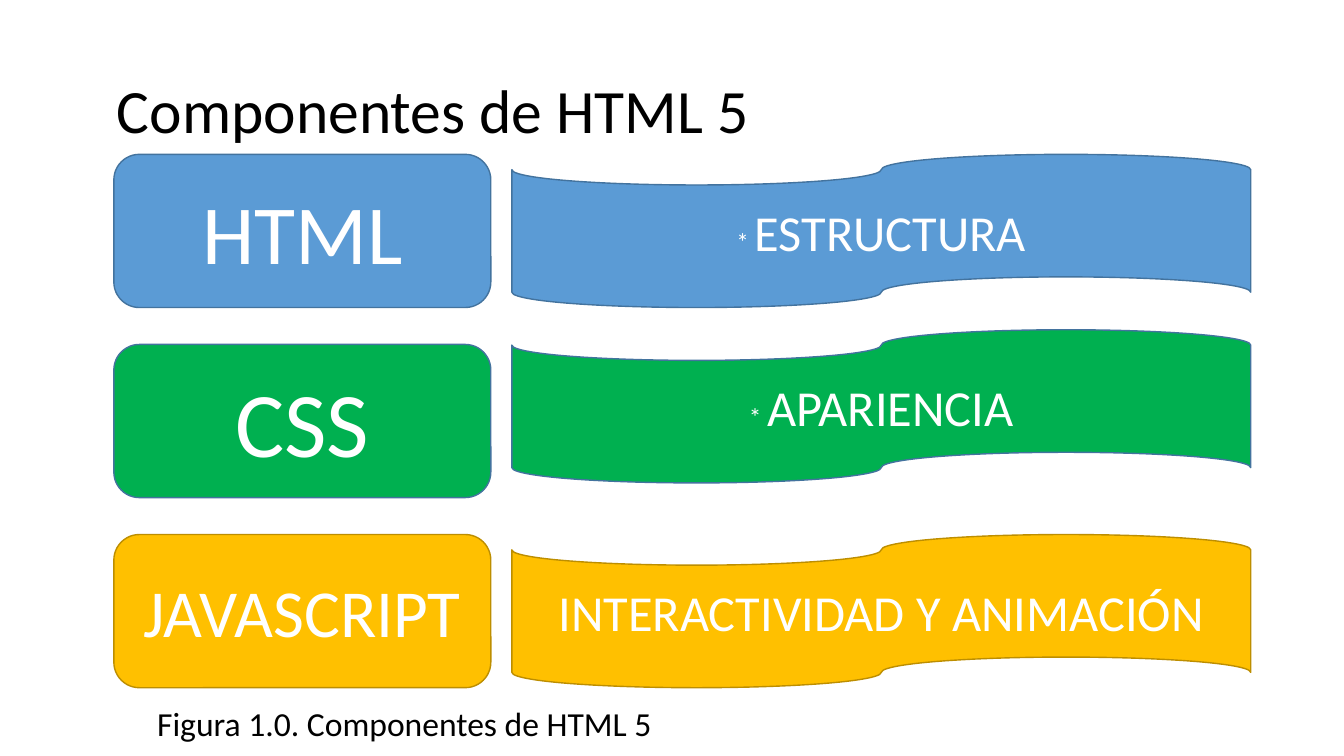
import pptx
import pptx.util
import pptx.dml.color
import pptx.enum.shapes
import pptx.enum.text
from dataclasses import dataclass
from pptx.util import Cm

MSO_SHAPE = pptx.enum.shapes.MSO_SHAPE
PP_ALIGN = pptx.enum.text.PP_ALIGN
MSO_ANCHOR = pptx.enum.text.MSO_ANCHOR
MSO_AUTO_SIZE = pptx.enum.text.MSO_AUTO_SIZE


@dataclass(frozen=True)
class Theme:
    font: str = "Calibri"
    text: str = "000000"
    light: str = "FFFFFF"
    blue: str = "5B9BD5"
    green: str = "00B050"
    amber: str = "FFC000"
    blue_line: str = "43739E"
    amber_line: str = "BD8E00"
    title: int = 44
    role: int = 36
    caption: int = 24
    marker: int = 18


def rgb(value):
    return pptx.dml.color.RGBColor.from_string(value)


class Deck:
    def __init__(self, theme):
        self.theme = theme
        self.prs = pptx.Presentation()
        self.prs.slide_width, self.prs.slide_height = Cm(33.87), Cm(19.05)
        self.s = self.prs.slides.add_slide(self.prs.slide_layouts[5])

    def style(self, font, size, color):
        font.name = self.theme.font
        font.size = pptx.util.Pt(size)
        font.color.rgb = rgb(color)

    def title(self, text, left, top, width, height):
        sp = self.s.shapes.title
        sp.left, sp.top, sp.width, sp.height = map(Cm, (left, top, width, height))
        tf = sp.text_frame
        tf.text = text
        tf.auto_size = MSO_AUTO_SIZE.NONE
        tf.vertical_anchor = MSO_ANCHOR.MIDDLE
        p = tf.paragraphs[0]
        p.alignment = PP_ALIGN.LEFT
        p.line_spacing = 0.9
        self.style(p.font, self.theme.title, self.theme.text)

    def caption(self, text, left, top, width, height):
        sp = self.s.shapes.add_textbox(*map(Cm, (left, top, width, height)))
        tf = sp.text_frame
        tf.text = text
        tf.word_wrap = False
        tf.auto_size = MSO_AUTO_SIZE.SHAPE_TO_FIT_TEXT
        self.style(tf.paragraphs[0].font, self.theme.caption, self.theme.text)

    def block(self, kind, box, fill, line, text, size, marker=""):
        sp = self.s.shapes.add_shape(kind, *map(Cm, box))
        sp.shadow.inherit = False
        sp.fill.solid()
        sp.fill.fore_color.rgb = rgb(fill)
        sp.line.color.rgb = rgb(line)
        sp.line.width = pptx.util.Pt(1)
        tf = sp.text_frame
        tf.word_wrap = True
        tf.vertical_anchor = MSO_ANCHOR.MIDDLE
        p = tf.paragraphs[0]
        p.alignment = PP_ALIGN.CENTER
        self.style(p.font, size, self.theme.light)
        if marker:
            r = p.add_run()
            r.text = marker
            self.style(r.font, self.theme.marker, self.theme.light)
        r = p.add_run()
        r.text = text
        self.style(r.font, size, self.theme.light)


theme = Theme()
deck = Deck(theme)
deck.title(" Componentes de HTML 5", 2.34, 1.02, 29.21, 3.68)

FIRST_TOP, PITCH, HEIGHT = 3.89, 4.79, 3.86
NAME_LEFT, NAME_WIDTH = 2.87, 9.5
ROLE_LEFT, ROLE_WIDTH = 12.9, 18.62

components = [
    ("HTML", 60, "* ", "ESTRUCTURA", theme.blue, theme.blue_line, 0),
    ("CSS", 66, "* ", "APARIENCIA", theme.green, theme.blue_line, -0.37),
    ("JAVASCRIPT", 48, "", "INTERACTIVIDAD Y ANIMACIÓN", theme.amber, theme.amber_line, 0),
]
for i, (name, size, marker, role, fill, line, role_shift) in enumerate(components):
    top = FIRST_TOP + i * PITCH
    deck.block(MSO_SHAPE.ROUNDED_RECTANGLE, (NAME_LEFT, top, NAME_WIDTH, HEIGHT),
               fill, line, name, size)
    deck.block(MSO_SHAPE.FLOWCHART_PUNCHED_TAPE,
               (ROLE_LEFT, top + role_shift, ROLE_WIDTH, HEIGHT),
               fill, line, role, theme.role, marker)

deck.caption("Figura 1.0. Componentes de HTML 5", 3.71, 17.6, 13.08, 1.27)
deck.prs.save("out.pptx")
